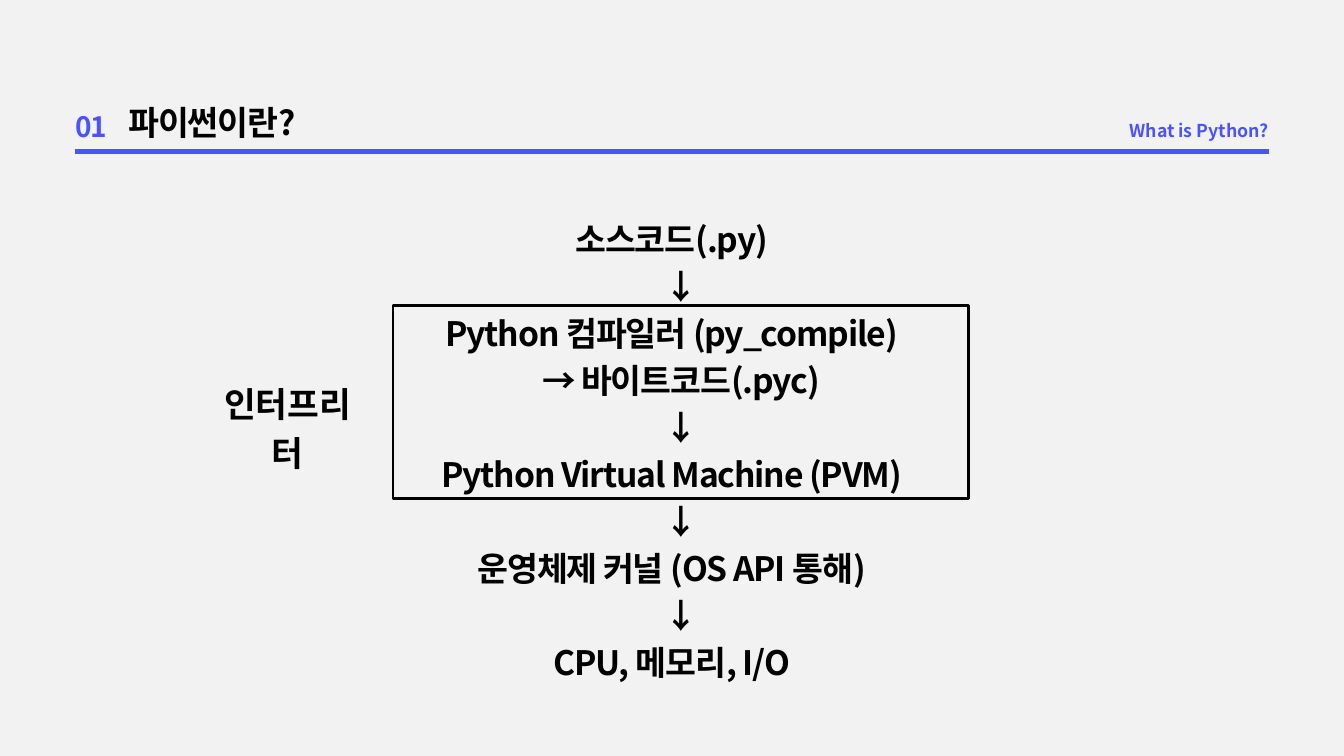
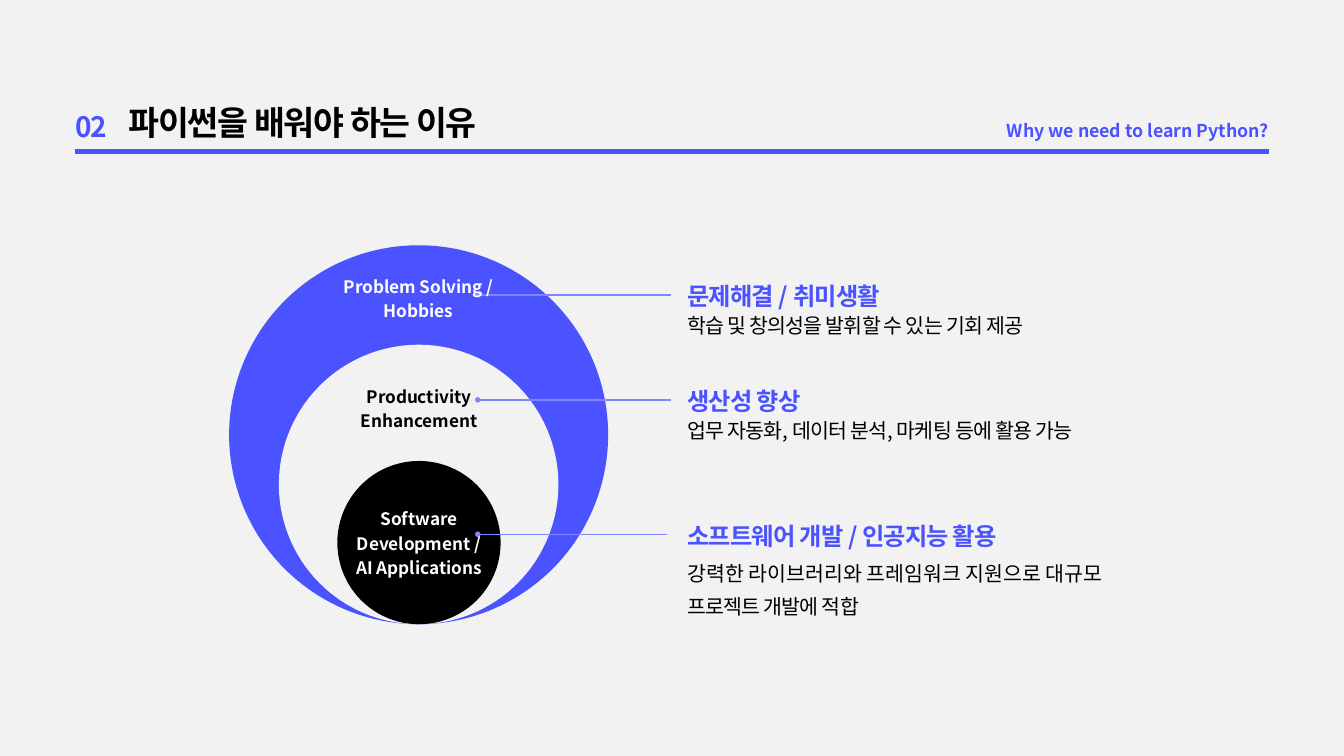
"""Build two slides on what Python is and why to learn it."""
from lxml import etree
from pptx import Presentation
from pptx.dml.color import RGBColor
from pptx.enum.shapes import MSO_CONNECTOR, MSO_SHAPE
from pptx.enum.text import MSO_ANCHOR, MSO_AUTO_SIZE, PP_ALIGN
from pptx.oxml.ns import qn
from pptx.util import Pt

LEFT, CENTER, RIGHT, JUSTIFY = PP_ALIGN.LEFT, PP_ALIGN.CENTER, PP_ALIGN.RIGHT, PP_ALIGN.JUSTIFY
TOP, GROW = MSO_ANCHOR.TOP, MSO_AUTO_SIZE.SHAPE_TO_FIT_TEXT
RECT, OVAL, STRAIGHT = MSO_SHAPE.RECTANGLE, MSO_SHAPE.OVAL, MSO_CONNECTOR.STRAIGHT

EMU_PER_PX = 9144
TITLE_LAYOUT = 5
BLUE, LIGHT_BLUE, BLACK, WHITE, PAPER = "4B52FF", "8286FE", "000000", "FFFFFF", "F2F2F3"
SC, KR = "Noto Sans CJK SC", "Noto Sans CJK KR"
MARGIN, RIGHT_EDGE, RULE_Y = 112, 1888, 225

FRAME = {"margin_left": 0, "margin_top": 0, "margin_right": 0, "margin_bottom": 0,
         "word_wrap": True, "vertical_anchor": TOP, "auto_size": GROW}


def style(name, size, color, leading, align=LEFT, bold=True, spacing=0):
    return {"font": {"name": name, "size": Pt(size), "bold": bold},
            "para": {"alignment": align, "line_spacing": Pt(leading),
                     "space_before": Pt(0), "space_after": Pt(0)},
            "color": color, "spacing": spacing}


STYLES = {
    "title": style(SC, 36, BLACK, 50.4, spacing=-120),
    "number": style(KR, 30, BLUE, 60, spacing=-90),
    "subtitle": style(KR, 19, BLUE, 26.6, RIGHT),
    "flow": style(SC, 36, BLACK, 50.4, CENTER, spacing=-120),
    "side": style(KR, 37, BLACK, 51.8, CENTER),
    "heading": style(SC, 26, BLUE, 36.4, spacing=-90),
    "body": style(SC, 22, BLACK, 35.2, JUSTIFY, bold=False, spacing=-80),
    "on_dark": style(SC, 18.4, WHITE, 25.8, CENTER),
    "on_light": style(SC, 18.4, BLACK, 25.8, CENTER),
}


def px(n):
    return n * EMU_PER_PX


def rgb(value):
    return RGBColor.from_string(value)


def apply(target, values):
    for key, value in values.items():
        setattr(target, key, value)


class Deck:
    def __init__(self, width, height):
        self.prs = Presentation()
        self.prs.slide_width, self.prs.slide_height = px(width), px(height)
        fill = self.prs.slide_master.background.fill
        fill.solid()
        fill.fore_color.rgb = rgb(PAPER)
        self.s = None

    def slide(self, number, title, subtitle):
        self.s = self.prs.slides.add_slide(self.prs.slide_layouts[TITLE_LAYOUT])
        sp = self.s.shapes.title
        box = {"left": 191, "top": 141, "width": 936, "height": 68}
        apply(sp, {key: px(n) for key, n in box.items()})
        self.fill_text(sp, [title], "title")
        self.line(MARGIN, RIGHT_EDGE, RULE_Y, BLUE, 5.25)
        self.text(MARGIN, 129, 78, 74, number, "number")
        self.text(1107, 173, 781, 35, subtitle, "subtitle")

    def fill_text(self, sp, lines, name, indents=()):
        look = STYLES[name]
        tf = sp.text_frame
        apply(tf, FRAME)
        for i, line in enumerate(lines):
            p = tf.add_paragraph() if i else tf.paragraphs[0]
            apply(p, look["para"])
            if i in indents:
                p._p.get_or_add_pPr().set("marL", str(px(indents[i])))
            r = p.add_run()
            r.text = line
            apply(r.font, look["font"])
            r.font.color.rgb = rgb(look["color"])
            rpr = r._r.get_or_add_rPr()
            rpr.set("spc", str(look["spacing"]))
            etree.SubElement(rpr, qn("a:ea")).set("typeface", look["font"]["name"])

    def text(self, x, y, w, h, lines, name, indents=()):
        sp = self.s.shapes.add_textbox(px(x), px(y), px(w), px(h))
        self.fill_text(sp, [lines] if isinstance(lines, str) else lines, name, indents)

    def shape(self, kind, x, y, w, h, fill=None, line=None, weight=3):
        sp = self.s.shapes.add_shape(kind, px(x), px(y), px(w), px(h))
        sp.shadow.inherit = False
        for part, color in ((sp.fill, fill), (sp.line.fill, line)):
            if color:
                part.solid()
                part.fore_color.rgb = rgb(color)
            else:
                part.background()
        if line:
            sp.line.width = Pt(weight)

    def line(self, x1, x2, y, color, weight, head=None):
        sp = self.s.shapes.add_connector(STRAIGHT, px(x1), px(y), px(x2), px(y))
        sp.line.color.rgb = rgb(color)
        sp.line.width = Pt(weight)
        if head:
            etree.SubElement(sp.line._get_or_add_ln(), qn("a:headEnd")).set("type", head)
        etree.SubElement(sp._element.spPr, qn("a:effectLst"))


def what_slide(deck):
    deck.slide("01", "파이썬이란?", "What is Python?")
    flow = ["소스코드(.py)", "↓", "Python 컴파일러 (py_compile)", "→ 바이트코드(.pyc)", "↓",
            "Python Virtual Machine (PVM)", "↓", "운영체제 커널 (OS API 통해)", "↓",
            "CPU, 메모리, I/O"]
    indents = {i: 28 for i, step in enumerate(flow) if step[0] in "↓→"}
    deck.text(655, 316, 689, 696, flow, "flow", indents)
    deck.shape(RECT, 585, 455, 856, 287, line=BLACK)
    deck.text(310, 560, 236, 70, "인터프리터", "side")


def why_slide(deck):
    deck.slide("02", "파이썬을 배워야 하는 이유", "Why we need to learn Python?")
    center_x, bottom = 623, 929
    for size, color in ((564, BLUE), (416, PAPER), (243, BLACK)):
        deck.shape(OVAL, center_x - size // 2, bottom - size, size, size, fill=color)

    reasons = [
        (439, 998, "문제해결 / 취미생활", 454, 45, "학습 및 창의성을 발휘할 수 있는 기회 제공"),
        (595, 998, "생산성 향상", 609, 45, "업무 자동화, 데이터 분석, 마케팅 등에 활용 가능"),
        (795, 993, "소프트웨어 개발 / 인공지능 활용", 823, 93,
         "강력한 라이브러리와 프레임워크 지원으로 대규모 프로젝트 개발에 적합"),
    ]
    for y, end, heading, body_y, body_h, body in reasons:
        deck.line(711, end, y, LIGHT_BLUE, 1.5, "oval")
        deck.text(1023, y - 27, 597, 48, heading, "heading")
        deck.text(1023, body_y, 616, body_h, body, "body")

    labels = [
        (406, 226, 69, "Problem Solving / Hobbies", "on_dark"),
        (569, 203, 69, "Productivity Enhancement", "on_light"),
        (752, 203, 105, "Software Development / AI Applications", "on_dark"),
    ]
    for y, w, h, label, name in labels:
        deck.text(center_x - w // 2, y, w, h, label, name)


def main():
    deck = Deck(2000, 1125)
    what_slide(deck)
    why_slide(deck)
    deck.prs.save("out.pptx")


if __name__ == "__main__":
    main()
